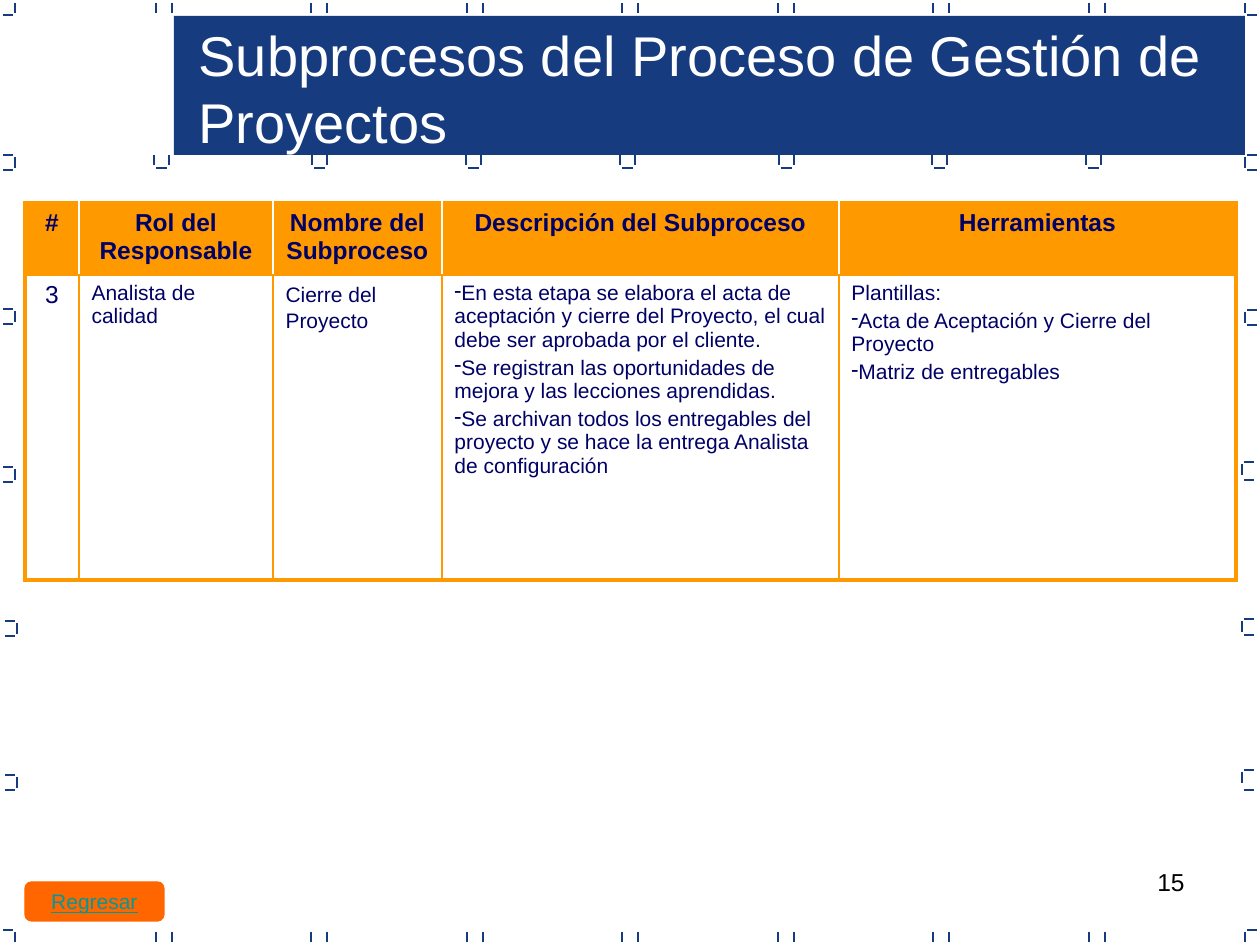
import dataclasses
import typing

import lxml.etree
import pptx
import pptx.dml.color
import pptx.enum.shapes
import pptx.enum.text
import pptx.oxml.ns
import pptx.util

PX_PER_INCH = 126
ALIGN = pptx.enum.text.PP_ALIGN
ANCHOR = pptx.enum.text.MSO_ANCHOR
SHAPE = pptx.enum.shapes.MSO_SHAPE
COLORS = {
    "navy": "163B7F", "ink": "000066", "amber": "FF9900", "orange": "FF6600",
    "teal": "009999", "white": "FFFFFF", "black": "000000",
}


@dataclasses.dataclass
class Tick:
    x1: int
    y1: int
    x2: int
    y2: int


@dataclasses.dataclass
class Bracket:
    x: int
    top: int
    bottom: int


@dataclasses.dataclass
class Cell:
    lines: list[str]
    size: int = 12
    bold: bool = False
    align: typing.Any = ALIGN.LEFT
    spacing: float = 1.0


def px(n: int) -> int:
    return round(n * 914400 / PX_PER_INCH)


def rgb(name: str) -> pptx.dml.color.RGBColor:
    return pptx.dml.color.RGBColor.from_string(COLORS[name])


def set_attrs(obj, values: dict) -> None:
    for name, value in values.items():
        setattr(obj, name, value)


def set_font(font, size: int, color: str, **values) -> None:
    set_attrs(font, {"name": "Arial", "size": pptx.util.Pt(size), **values})
    font.color.rgb = rgb(color)


def sub(parent, tag: str, **attrs):
    return lxml.etree.SubElement(parent, pptx.oxml.ns.qn(tag), **attrs)


def draw_tick(s, t: Tick) -> None:
    c = s.shapes.add_connector(
        pptx.enum.shapes.MSO_CONNECTOR.STRAIGHT, px(t.x1), px(t.y1), px(t.x2), px(t.y2))
    c.line.color.rgb = rgb("navy")
    c.line.width = pptx.util.Pt(0.75)
    sub(c.element.spPr, "a:effectLst")


def draw_bracket(s, b: Bracket, side: int) -> None:
    near, far = b.x + 2 * side, b.x + 12 * side
    draw_tick(s, Tick(b.x, b.top + 2, b.x, b.top + 13))
    for y in (b.top, b.bottom):
        draw_tick(s, Tick(near, y, far, y))


def draw_frame(s) -> None:
    for i in range(1, 8):
        left = round(i * 1400 / 9)
        for x in (left, left + 16):
            for y in (3, 932):
                draw_tick(s, Tick(x, y, x, y + 10))
    for x, side in ((15, -1), (1245, 1)):
        for y, bar in ((3, 15), (932, 930)):
            draw_tick(s, Tick(x, y, x, y + 10))
            draw_tick(s, Tick(x + 2 * side, bar, x + 12 * side, bar))
    for x, top in ((15, 155), (15, 309), (15, 467), (17, 621), (17, 775)):
        draw_bracket(s, Bracket(x, top, top + 15), -1)
    for b in (Bracket(1245, 155, 170), Bracket(1245, 310, 325), Bracket(1242, 462, 480),
              Bracket(1242, 619, 635), Bracket(1242, 770, 790)):
        draw_bracket(s, b, 1)
    for left in (154, 312, 466, 620, 779, 932, 1086):
        for x in (left, left + 15):
            draw_tick(s, Tick(x, 155, x, 165))
        draw_tick(s, Tick(left + 2, 168, left + 13, 168))


def draw_box(s, kind, box: tuple[int, int, int, int], color: str):
    sp = s.shapes.add_shape(kind, *map(px, box))
    sp.shadow.inherit = False
    sp.fill.solid()
    sp.fill.fore_color.rgb = rgb(color)
    sp.line.fill.background()
    return sp


def set_border(cell, tag: str, color: str, width: float) -> None:
    ln = sub(cell._tc.get_or_add_tcPr(), tag, w=str(pptx.util.Pt(width)))
    sub(sub(ln, "a:solidFill"), "a:srgbClr", val=COLORS[color])


def fill_cell(cell, spec_: Cell) -> None:
    tf = cell.text_frame
    for i, line in enumerate(spec_.lines):
        p = tf.paragraphs[0] if i == 0 else tf.add_paragraph()
        set_attrs(p, {"alignment": spec_.align, "line_spacing": spec_.spacing,
                      "space_before": pptx.util.Pt(0.2 * spec_.size if i else 0)})
        r = p.add_run()
        r.text = line.removeprefix("-")
        set_font(r.font, spec_.size, "ink", bold=spec_.bold)
        if line.startswith("-"):
            pPr = p._p.get_or_add_pPr()
            set_attrs(pPr, {"marL": 0, "indent": 0})
            sub(pPr, "a:buChar", char="-")


def draw_table(s, rows: list[list[Cell]], widths: list[int], heights: list[int]) -> None:
    frame = s.shapes.add_table(
        len(rows), len(widths), px(25), px(203), px(sum(widths)), px(sum(heights)))
    t = frame.table
    t.horz_banding = False
    for col, width in zip(t.columns, widths):
        col.width = px(width)
    for row, height in zip(t.rows, heights):
        row.height = px(height)
    last = len(widths) - 1
    for i, row in enumerate(rows):
        header = i == 0
        inner = ("white", 1) if header else ("amber", 1.5)
        for j, content in enumerate(row):
            cell = t.cell(i, j)
            set_border(cell, "a:lnL", *(("amber", 2.25) if j == 0 else inner))
            set_border(cell, "a:lnR", *(("amber", 2.25) if j == last else inner))
            set_border(cell, "a:lnT", "amber", 2.25 if header else 1.5)
            set_border(cell, "a:lnB", "amber", 1.5 if header else 2.25)
            if header:
                cell.fill.solid()
                cell.fill.fore_color.rgb = rgb("amber")
            else:
                cell.fill.background()
            fill_cell(cell, content)


def draw_title(s, text: str) -> None:
    sp = s.shapes.title
    set_attrs(sp, dict(zip(("left", "top", "width", "height"), map(px, (186, 14, 1048, 147)))))
    tf = sp.text_frame
    set_attrs(tf, {"text": text, "word_wrap": True, "vertical_anchor": ANCHOR.TOP,
                   "auto_size": pptx.enum.text.MSO_AUTO_SIZE.NONE})
    p = tf.paragraphs[0]
    p.alignment = ALIGN.LEFT
    set_font(p.runs[0].font, 32, "white")
    s.shapes.element.append(sp.element)


def draw_label(sp, text: str, size: int, color: str, align, **values) -> None:
    p = sp.text_frame.paragraphs[0]
    p.alignment = align
    r = p.add_run()
    r.text = text
    set_font(r.font, size, color, **values)


def main() -> None:
    prs = pptx.Presentation()
    set_attrs(prs, {"slide_width": px(1260), "slide_height": px(945)})
    s = prs.slides.add_slide(prs.slide_layouts[5])
    number = s.shapes.add_textbox(*map(px, (903, 861, 294, 66)))
    number.text_frame.word_wrap = True
    draw_label(number, "15", 14, "black", ALIGN.RIGHT)
    draw_frame(s)
    draw_box(s, SHAPE.RECTANGLE, (174, 16, 1071, 139), "navy")
    headers = ["#", "Rol del Responsable", "Nombre del Subproceso",
               "Descripción del Subproceso", "Herramientas"]
    body = [
        Cell(["3"], size=14, align=ALIGN.CENTER),
        Cell(["Analista de calidad"]),
        Cell(["Cierre del Proyecto"], spacing=1.1),
        Cell(["-En esta etapa se elabora el acta de aceptación y cierre del Proyecto, "
              "el cual debe ser aprobada por el cliente.",
              "-Se registran las oportunidades de mejora y las lecciones aprendidas.",
              "-Se archivan todos los entregables del proyecto y se hace la entrega "
              "Analista de configuración"]),
        Cell(["Plantillas:", "-Acta de Aceptación y Cierre del Proyecto",
              "-Matriz de entregables"]),
    ]
    head = [Cell([h], size=14, bold=True, align=ALIGN.CENTER) for h in headers]
    draw_table(s, [head, body], [54, 194, 169, 397, 397], [72, 305])
    button = draw_box(s, SHAPE.FLOWCHART_ALTERNATE_PROCESS, (25, 882, 139, 39), "orange")
    button.line.color.rgb = rgb("orange")
    button.line.width = pptx.util.Pt(0.75)
    set_attrs(button.text_frame, {"word_wrap": False, "vertical_anchor": ANCHOR.MIDDLE})
    draw_label(button, "Regresar", 12, "teal", ALIGN.CENTER, underline=True)
    draw_title(s, "Subprocesos del Proceso de Gestión de Proyectos")
    prs.save("out.pptx")


if __name__ == "__main__":
    main()
